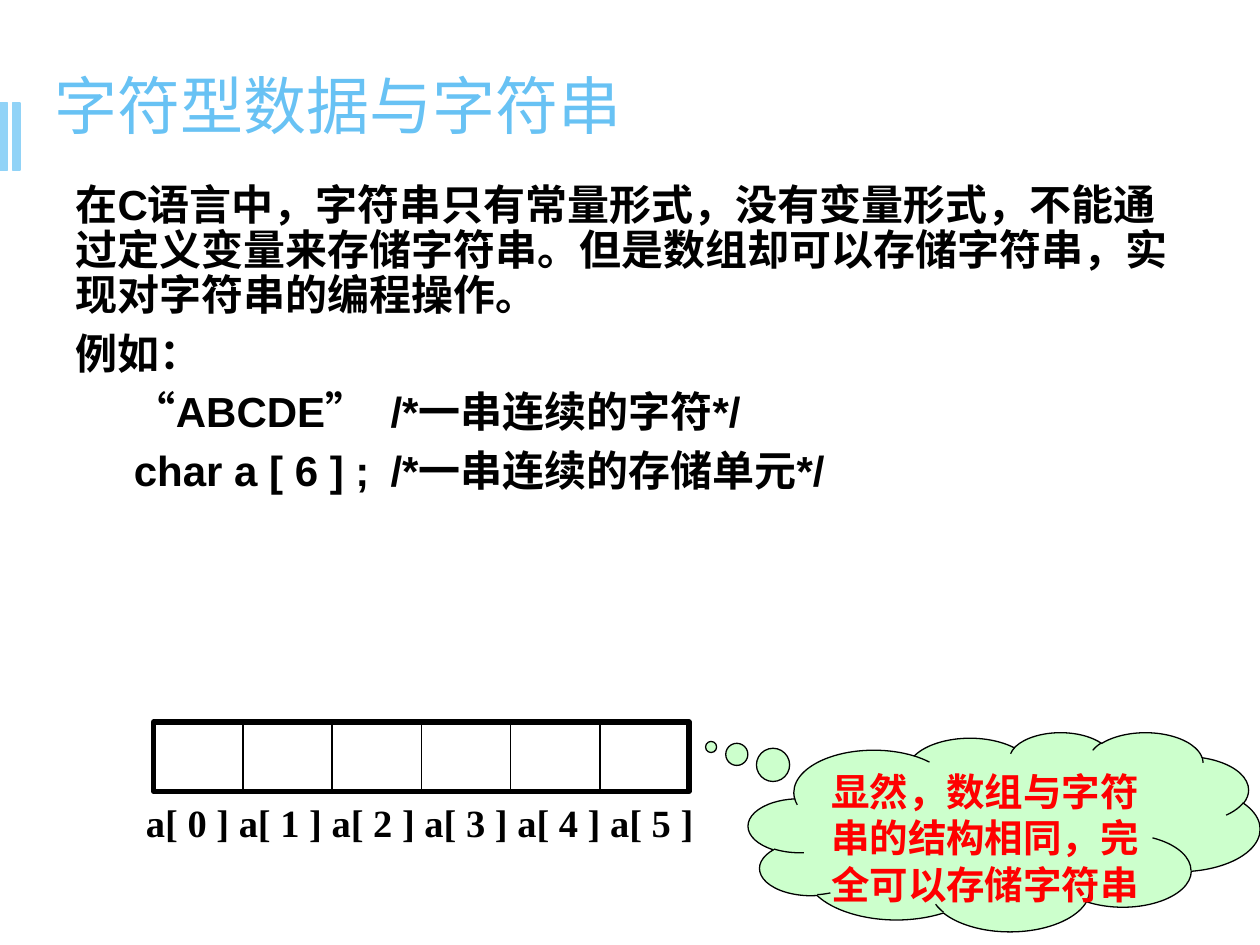
from dataclasses import dataclass

from lxml import etree
from pptx import Presentation
from pptx.dml.color import RGBColor
from pptx.enum.shapes import MSO_CONNECTOR, MSO_SHAPE
from pptx.enum.text import MSO_ANCHOR, MSO_AUTO_SIZE, PP_ALIGN
from pptx.oxml.ns import qn
from pptx.util import Pt

STRAIGHT = MSO_CONNECTOR.STRAIGHT
RECTANGLE = MSO_SHAPE.RECTANGLE
PROCESS = MSO_SHAPE.FLOWCHART_PROCESS
CLOUD = MSO_SHAPE.CLOUD_CALLOUT
TOP = MSO_ANCHOR.TOP
MIDDLE = MSO_ANCHOR.MIDDLE
LEFT = PP_ALIGN.LEFT
NO_FIT = MSO_AUTO_SIZE.NONE


@dataclass(frozen=True)
class TextStyle:
    font: str
    size: float
    color: str
    bold: bool = True


@dataclass(frozen=True)
class Theme:
    accent: str = "91D3F7"
    ink: str = "000000"
    cloud: str = "CCFFCC"
    thin: float = 0.75
    bar_line: float = 1
    thick: float = 3
    title: TextStyle = TextStyle("Arial", 36, "68C2F4", False)
    body: TextStyle = TextStyle("Arial", 24, "000000")
    index: TextStyle = TextStyle("Times New Roman", 22, "000000")
    remark: TextStyle = TextStyle("Times New Roman", 22, "FF0000")


@dataclass(frozen=True)
class Box:
    left: float
    top: float
    width: float
    height: float

    def lengths(self) -> tuple:
        return Pt(self.left), Pt(self.top), Pt(self.width), Pt(self.height)


@dataclass(frozen=True)
class BodyLine:
    text: str
    indent: float = 0
    comment_stop: float = 0


THEME = Theme()
TITLE_BOX = Box(23.75, 17.25, 672.5, 90)
BODY_BOX = Box(36, 101.5, 648, 356.5)
ARRAY_BOX = Box(87.8, 412.6, 306, 39.6)
INDEX_BOX = Box(76.3, 452.9, 368.6, 60.5)
CLOUD_BOX = Box(427.7, 418.3, 292.3, 113.8)
BARS = [Box(left, 59, 4.3, 38.2) for left in (0, 7.2)]
CELLS = 6
BODY_LINES = [
    BodyLine("在C语言中，字符串只有常量形式，没有变量形式，不能通过定义变量来存储字符串。"
             "但是数组却可以存储字符串，实现对字符串的编程操作。"),
    BodyLine("例如："),
    BodyLine("“ABCDE”\t/*一串连续的字符*/", 33.3, 216.6),
    BodyLine("char a [ 6 ] ;\t/*一串连续的存储单元*/", 33.3, 207.4),
]


def rgb(color: str) -> RGBColor:
    return RGBColor.from_string(color)


def place(item, box: Box) -> None:
    item.left, item.top, item.width, item.height = box.lengths()


def format_paragraph(paragraph, style: TextStyle) -> None:
    paragraph.alignment = LEFT
    for run in paragraph.runs:
        run.font.name = style.font
        run.font.size = Pt(style.size)
        run.font.bold = style.bold
        run.font.color.rgb = rgb(style.color)


def add_outlined(slide, kind, box: Box, fill: str | None, line: str, weight: float):
    outlined = slide.shapes.add_shape(kind, *box.lengths())
    outlined.shadow.inherit = False
    if fill:
        outlined.fill.solid()
        outlined.fill.fore_color.rgb = rgb(fill)
    else:
        outlined.fill.background()
    outlined.line.color.rgb = rgb(line)
    outlined.line.width = Pt(weight)
    return outlined


def add_divider(slide, x: float, top: float, bottom: float) -> None:
    divider = slide.shapes.add_connector(STRAIGHT, Pt(x), Pt(top), Pt(x), Pt(bottom))
    divider.line.color.rgb = rgb(THEME.ink)
    divider.line.width = Pt(THEME.thin)
    etree.SubElement(divider._element.spPr, qn("a:effectLst"))


def fill_title(title) -> None:
    place(title, TITLE_BOX)
    frame = title.text_frame
    frame.text = "字符型数据与字符串"
    frame.auto_size = NO_FIT
    frame.vertical_anchor = MIDDLE
    frame.paragraphs[0].line_spacing = 0.9
    format_paragraph(frame.paragraphs[0], THEME.title)


def fill_body(body) -> None:
    place(body, BODY_BOX)
    frame = body.text_frame
    frame.text = "\n".join(line.text for line in BODY_LINES)
    frame.auto_size = NO_FIT
    frame.vertical_anchor = TOP
    for paragraph, line in zip(frame.paragraphs, BODY_LINES):
        paragraph.line_spacing = 0.9
        paragraph.space_before = Pt(7.5)
        format_paragraph(paragraph, THEME.body)
        properties = paragraph._p.get_or_add_pPr()
        properties.set("marL", "0")
        properties.set("indent", str(Pt(line.indent)))
        etree.SubElement(properties, qn("a:buNone"))
        if line.comment_stop:
            stops = etree.SubElement(properties, qn("a:tabLst"))
            etree.SubElement(stops, qn("a:tab"), pos=str(Pt(line.comment_stop)), algn="l")


def add_array(slide) -> None:
    add_outlined(slide, RECTANGLE, ARRAY_BOX, None, THEME.ink, THEME.thick)
    cell_width = ARRAY_BOX.width / CELLS
    for cell in range(1, CELLS):
        add_divider(slide, ARRAY_BOX.left + cell * cell_width,
                    ARRAY_BOX.top, ARRAY_BOX.top + ARRAY_BOX.height)
    indexes = slide.shapes.add_textbox(*INDEX_BOX.lengths()).text_frame
    indexes.word_wrap = True
    indexes.text = " ".join(f"a[ {cell} ]" for cell in range(CELLS))
    indexes.paragraphs[0].space_before = Pt(13.8)
    format_paragraph(indexes.paragraphs[0], THEME.index)


def add_remark(slide) -> None:
    cloud = add_outlined(slide, CLOUD, CLOUD_BOX, THEME.cloud, THEME.ink, THEME.thin)
    cloud.adjustments[0] = -0.573
    cloud.adjustments[1] = -0.425
    frame = cloud.text_frame
    frame.word_wrap = True
    frame.vertical_anchor = TOP
    frame.text = "显然，数组与字符串的结构相同，完全可以存储字符串"
    format_paragraph(frame.paragraphs[0], THEME.remark)


def main() -> None:
    deck = Presentation()
    deck.slide_width, deck.slide_height = Pt(720), Pt(540)
    slide = deck.slides.add_slide(deck.slide_layouts[1])
    for bar in BARS:
        add_outlined(slide, PROCESS, bar, THEME.accent, THEME.accent, THEME.bar_line)
    fill_title(slide.shapes.title)
    fill_body(slide.placeholders[1])
    add_array(slide)
    add_remark(slide)
    deck.save("out.pptx")


if __name__ == "__main__":
    main()
